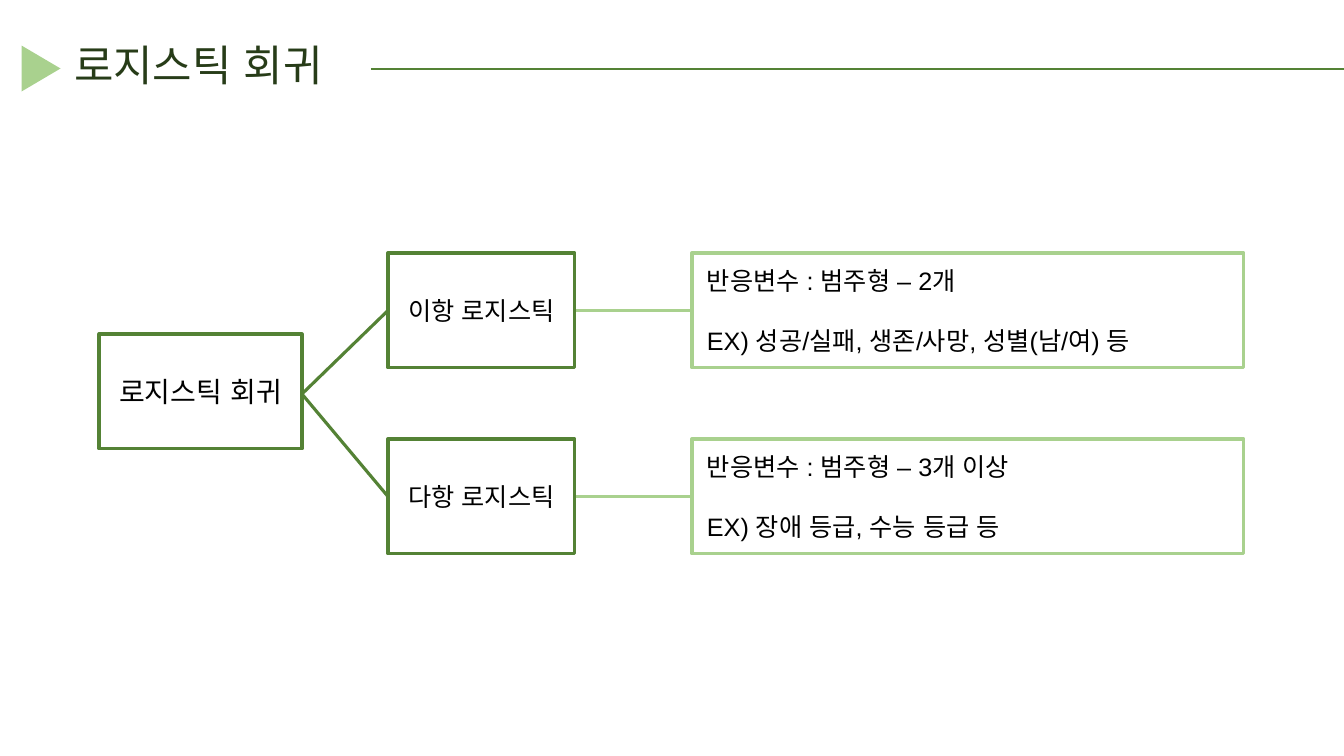
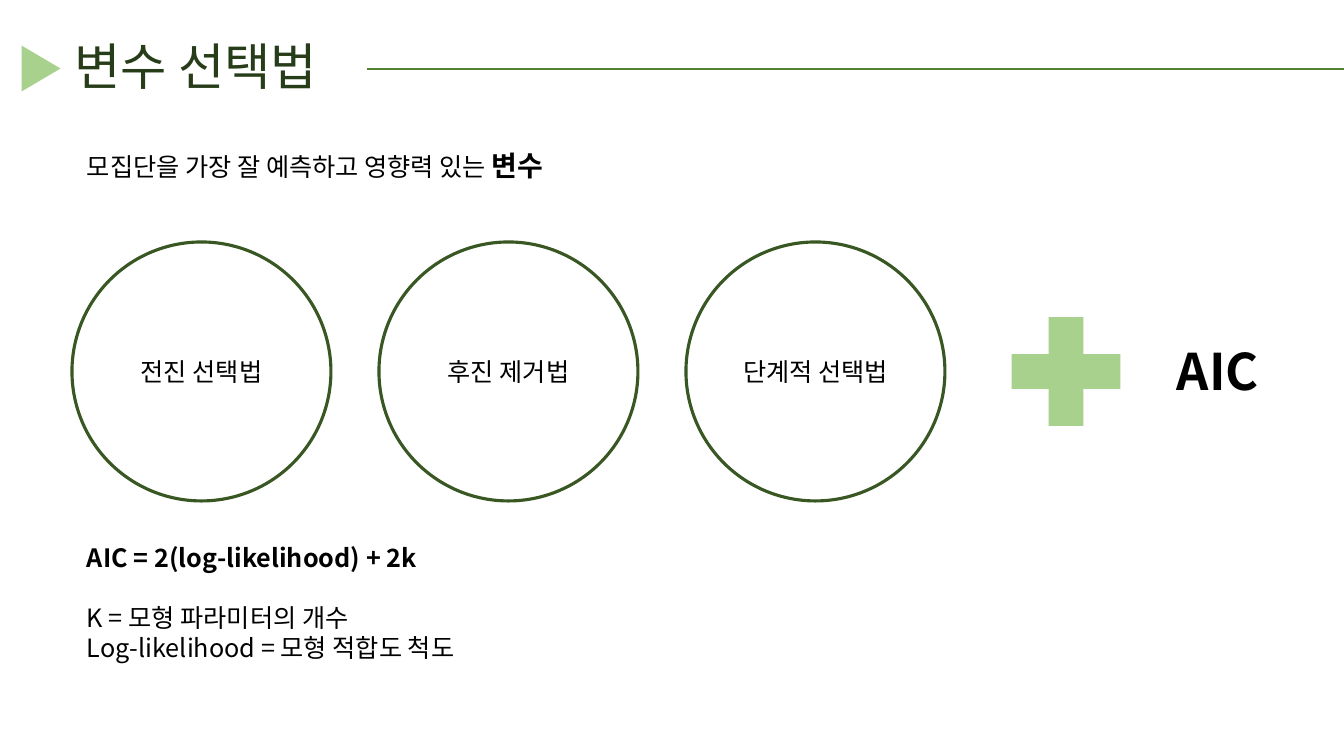
import pptx
import pptx.util
import pptx.dml.color
import pptx.enum.shapes
import pptx.enum.text
import pptx.oxml
import pptx.oxml.ns
from collections import namedtuple
from dataclasses import dataclass

Box = namedtuple("Box", "left top width height")
Shapes = pptx.enum.shapes.MSO_SHAPE
Align = pptx.enum.text.PP_ALIGN
Anchor = pptx.enum.text.MSO_ANCHOR


@dataclass(frozen=True)
class Theme:
    title_ink: str = "273C18"
    ink: str = "000000"
    green: str = "548235"
    light_green: str = "A9D18E"
    dark_green: str = "385723"
    latin: str = "Arial"
    korean: str = "Noto Sans CJK KR"
    body: float = 18
    emphasis: float = 20
    display: float = 36
    outline: float = 2.25
    rule: float = 1.5
    paragraph_gap: float = 21.6


THEME = Theme()
SLIDE = Box(0, 0, 1344, 756)


def px(value):
    return round(value * 914400 / 100.8)


def color(value):
    return pptx.dml.color.RGBColor.from_string(value)


def set_font(font, name, size, ink=THEME.ink, bold=False, east_asian=None):
    font.name = name
    font.size = pptx.util.Pt(size)
    font.bold = bold
    font.color.rgb = color(ink)
    latin = font._element.find(pptx.oxml.ns.qn("a:latin"))
    face = pptx.oxml.parse_xml(f'<a:ea {pptx.oxml.ns.nsdecls("a")}/>')
    face.set("typeface", east_asian or name)
    latin.addnext(face)


def add_outline(slide, kind, box, fill=None, line=None):
    shape = slide.shapes.add_shape(kind, *map(px, box))
    shape.shadow.inherit = False
    if fill:
        shape.fill.solid()
        shape.fill.fore_color.rgb = color(fill)
    else:
        shape.fill.background()
    if line:
        shape.line.color.rgb = color(line)
        shape.line.width = pptx.util.Pt(THEME.outline)
    else:
        shape.line.fill.background()
    return shape


def add_line(slide, start, end, ink, width=THEME.outline):
    line = slide.shapes.add_connector(
        pptx.enum.shapes.MSO_CONNECTOR.STRAIGHT, *map(px, (*start, *end)))
    line.line.color.rgb = color(ink)
    line.line.width = pptx.util.Pt(width)
    line._element.spPr.append(
        pptx.oxml.parse_xml(f'<a:effectLst {pptx.oxml.ns.nsdecls("a")}/>'))


def write_lines(frame, lines, name, size=THEME.body, align=Align.LEFT, bold_first=False):
    frame.word_wrap = True
    for index, text in enumerate(lines):
        paragraph = frame.paragraphs[0] if index == 0 else frame.add_paragraph()
        paragraph.text = text
        paragraph.alignment = align
        set_font(paragraph.font, name, size, bold=bold_first and index == 0)
        if index == 1:
            paragraph.space_before = pptx.util.Pt(THEME.paragraph_gap)


def add_text(slide, box):
    return slide.shapes.add_textbox(*map(px, box)).text_frame


def add_header(presentation, text, width, size, spacing, east_asian):
    slide = presentation.slides.add_slide(presentation.slide_layouts[5])
    box = Box(64, 26, width, 86)
    title = slide.shapes.title
    title.left, title.top, title.width, title.height = map(px, box)
    frame = title.text_frame
    frame.text = text
    frame.vertical_anchor = Anchor.MIDDLE
    frame.auto_size = pptx.enum.text.MSO_AUTO_SIZE.NONE
    paragraph = frame.paragraphs[0]
    paragraph.alignment = Align.LEFT
    paragraph.line_spacing = spacing
    set_font(paragraph.font, THEME.latin, size, THEME.title_ink, east_asian=east_asian)
    middle = box.top + box.height / 2
    add_line(slide, (box.left + width, middle), (SLIDE.width, middle),
             THEME.green, THEME.rule)
    marker = add_outline(slide, Shapes.ISOSCELES_TRIANGLE,
                         Box(18, 49, 46, 39), fill=THEME.light_green)
    marker.rotation = 90
    return slide


def add_node(slide, box, lines, line, size=THEME.body, align=Align.CENTER, inset=0):
    shape = add_outline(slide, Shapes.RECTANGLE, box, line=line)
    frame = shape.text_frame
    frame.vertical_anchor = Anchor.MIDDLE
    frame.margin_left = px(inset)
    frame.margin_right = 0
    write_lines(frame, lines, THEME.latin, size, align)


def add_tree(slide, box, root, branches):
    node_height, row_pitch = 115, 186
    root_box = Box(box.left, box.top + 81, 203, node_height)
    joint = (root_box.left + root_box.width, root_box.top + 60)
    for row, (name, details) in enumerate(branches):
        top = box.top + row * row_pitch
        middle = top + node_height / 2
        branch = Box(box.left + 289, top, 187, node_height)
        detail = Box(box.left + 593, top, box.width - 593, node_height)
        add_line(slide, (branch.left, middle), joint, THEME.green)
        add_line(slide, (detail.left, middle), (branch.left + branch.width, middle),
                 THEME.light_green)
        add_node(slide, branch, [name], THEME.green)
        add_node(slide, detail, details, THEME.light_green, align=Align.LEFT, inset=15)
    add_node(slide, root_box, [root], THEME.green, THEME.emphasis)


def add_methods(slide, box, names, criterion):
    pitch = 307
    for column, name in enumerate(names):
        circle = add_outline(
            slide, Shapes.OVAL,
            Box(box.left + column * pitch, box.top, box.height, box.height),
            line=THEME.dark_green)
        circle.text_frame.vertical_anchor = Anchor.MIDDLE
        write_lines(circle.text_frame, [name], THEME.korean, align=Align.CENTER)
    middle = box.top + box.height / 2
    plus = 148
    add_outline(slide, Shapes.MATH_PLUS,
                Box(box.left + 920, middle - plus / 2, plus, plus), fill=THEME.light_green)
    frame = add_text(slide, Box(box.left + 1095, middle - 36, 105, 72))
    write_lines(frame, [criterion], THEME.korean, THEME.display, bold_first=True)
    frame.word_wrap = False


def add_lead(slide, box, text, keyword):
    frame = add_text(slide, box)
    frame.word_wrap = True
    paragraph = frame.paragraphs[0]
    for words, size, bold in ((text, THEME.body, False), (keyword, THEME.emphasis, True)):
        run = paragraph.add_run()
        run.text = words
        set_font(run.font, THEME.korean, size, bold=bold)


def build_regression(presentation):
    slide = add_header(presentation, "로지스틱 회귀", 307, 30.6, 0.8, THEME.latin)
    add_tree(slide, Box(99, 253, 1145, 301), "로지스틱 회귀", [
        ("이항 로지스틱", ["반응변수 : 범주형 – 2개",
                     "EX) 성공/실패, 생존/사망, 성별(남/여) 등"]),
        ("다항 로지스틱", ["반응변수 : 범주형 – 3개 이상",
                     "EX) 장애 등급, 수능 등급 등"]),
    ])


def build_selection(presentation):
    slide = add_header(presentation, "변수 선택법", 303, THEME.display, 0.9, THEME.korean)
    add_lead(slide, Box(77, 144, 1194, 44), "모집단을 가장 잘 예측하고 영향력 있는 ", "변수")
    add_methods(slide, Box(72, 242, 1200, 259),
                ["전진 선택법", "후진 제거법", "단계적 선택법"], "AIC")
    write_lines(add_text(slide, Box(77, 537, 1194, 132)),
                ["AIC = 2(log-likelihood) + 2k", "K = 모형 파라미터의 개수",
                 "Log-likelihood = 모형 적합도 척도"],
                THEME.korean, bold_first=True)


presentation = pptx.Presentation()
presentation.slide_width = px(SLIDE.width)
presentation.slide_height = px(SLIDE.height)
build_regression(presentation)
build_selection(presentation)
presentation.save("out.pptx")
